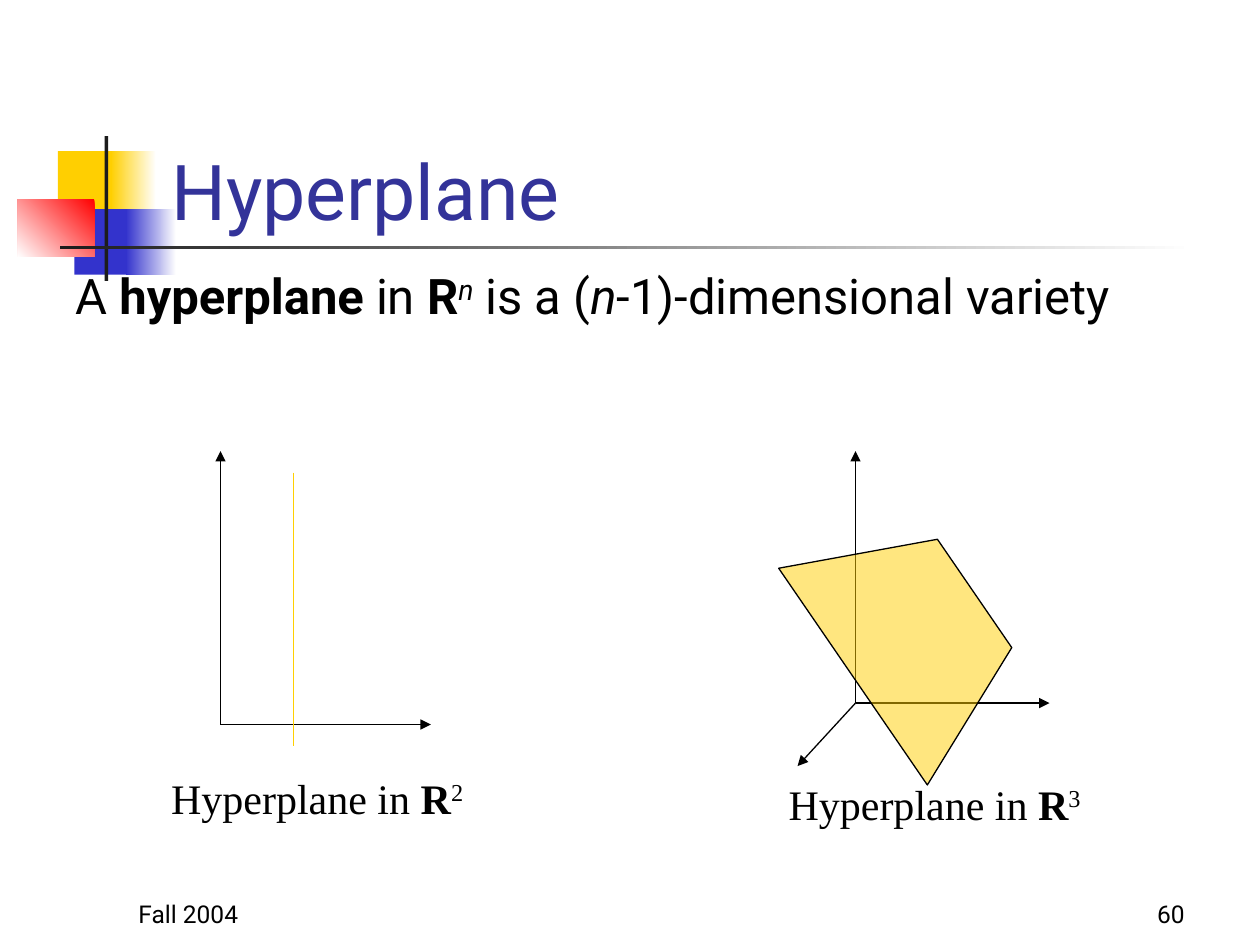
from lxml import etree
from pptx import Presentation
from pptx.dml.color import RGBColor
from pptx.enum import shapes, text
from pptx.oxml.ns import qn
from pptx.util import Inches, Pt


def rgb(value):
    return RGBColor.from_string(value)


def write(place, runs, size, font="Roboto", color="000000", align="LEFT", anchor="TOP", wrap=True):
    frame = slide.shapes.add_textbox(*map(Inches, place)).text_frame
    frame.word_wrap = wrap
    frame.vertical_anchor = text.MSO_ANCHOR[anchor]
    paragraph = frame.paragraphs[0]
    paragraph.alignment = text.PP_ALIGN[align]
    for words, style in runs:
        run = paragraph.add_run()
        run.text = words
        look = {"name": font, "size": Pt(size), "bold": "b" in style, "italic": "i" in style}
        for key, value in look.items():
            setattr(run.font, key, value)
        run.font.color.rgb = rgb(color)
        if "^" in style:
            run.font._element.set("baseline", "30000")


deck = Presentation()
deck.slide_width, deck.slide_height = Inches(10), Inches(7.5)
slide = deck.slides.add_slide(deck.slide_layouts[6])

ornaments = [
    ((0.46, 1.2, 0.48, 0.52), ["FFCF01"], 0),
    ((0.88, 1.2, 0.36, 0.52), ["FFFFFF", "FFCF01"], 180),
    ((0.59, 1.66, 0.46, 0.52), ["3333CC"], 0),
    ((1, 1.66, 0.4, 0.52), ["FFFFFF", "3333CC"], 180),
    ((0.14, 1.58, 0.61, 0.46), ["FF0000", "FFFFFF"], 225),
    ((0.83, 1.08, 0.03, 1.15), ["1C1C1C"], 0),
    ((0.48, 1.95, 9, 0.03), ["FFFFFF", "1C1C1C"], 180),
]
for place, colors, angle in ornaments:
    block = slide.shapes.add_shape(shapes.MSO_SHAPE.RECTANGLE, *map(Inches, place))
    block.shadow.inherit = False
    block.line.fill.background()
    if len(colors) == 1:
        block.fill.solid()
        block.fill.fore_color.rgb = rgb(colors[0])
    else:
        block.fill.gradient()
        block.fill.gradient_angle = angle
        for stop, color in zip(block.fill.gradient_stops, colors):
            stop.color.rgb = rgb(color)

write((1.26, 0.67, 8.52, 1.25), [("Hyperplane", "")], 44, color="333399", anchor="BOTTOM")
definition = [
    ("A ", ""), ("hyperplane", "b"), (" in ", ""), ("R", "b"), ("n", "i^"),
    (" is a (", ""), ("n", "i"), ("-1)-dimensional variety", ""),
]
write((0.5, 2.06, 9.08, 4.56), definition, 28)

space_origin, plane_origin = (6.79, 5.58), (1.75, 5.75)
lines = [
    (space_origin, (6.79, 3.58), "000000", True),
    (space_origin, (6.33, 6.08), "000000", True),
    (space_origin, (8.33, 5.58), "000000", True),
    (plane_origin, (1.75, 3.58), "000000", True),
    (plane_origin, (3.42, 5.75), "000000", True),
    ((2.33, 3.75), (2.33, 5.92), "FFCF01", False),
]
for start, end, color, is_axis in lines:
    line = slide.shapes.add_connector(shapes.MSO_CONNECTOR.STRAIGHT, *map(Inches, start + end))
    line.line.width = Pt(0.75)
    line.line.color.rgb = rgb(color)
    if is_axis:
        etree.SubElement(line.line._get_or_add_ln(), qn("a:tailEnd"), type="triangle")
    etree.SubElement(line._element.spPr, qn("a:effectLst"))

corners = [(Inches(x), Inches(y)) for x, y in [(7.36, 6.23), (6.18, 4.51), (7.44, 4.28), (8.03, 5.14)]]
outline = slide.shapes.build_freeform(*corners[0])
outline.add_line_segments(corners[1:], close=True)
hyperplane = outline.convert_to_shape()
hyperplane.shadow.inherit = False
hyperplane.fill.solid()
hyperplane.fill.fore_color.rgb = rgb("FFCF01")
tint = hyperplane._element.spPr.find(qn("a:solidFill"))[0]
etree.SubElement(tint, qn("a:alpha"), val="50000")
hyperplane.line.color.rgb = rgb("000000")
hyperplane.line.width = Pt(0.75)

for left, top, dimension in [(6.16, 6.13, "3"), (1.26, 6.08, "2")]:
    caption = [("Hyperplane in ", ""), ("R", "b"), (dimension, "^")]
    write((left, top, 2.52, 0.5), caption, 24, font="Times New Roman", wrap=False)

for left, words, align in [(7.42, "60", "RIGHT"), (1, "Fall 2004", "LEFT")]:
    write((left, 6.92, 2.08, 0.5), [(words, "")], 14, align=align, anchor="BOTTOM")

deck.save("out.pptx")
